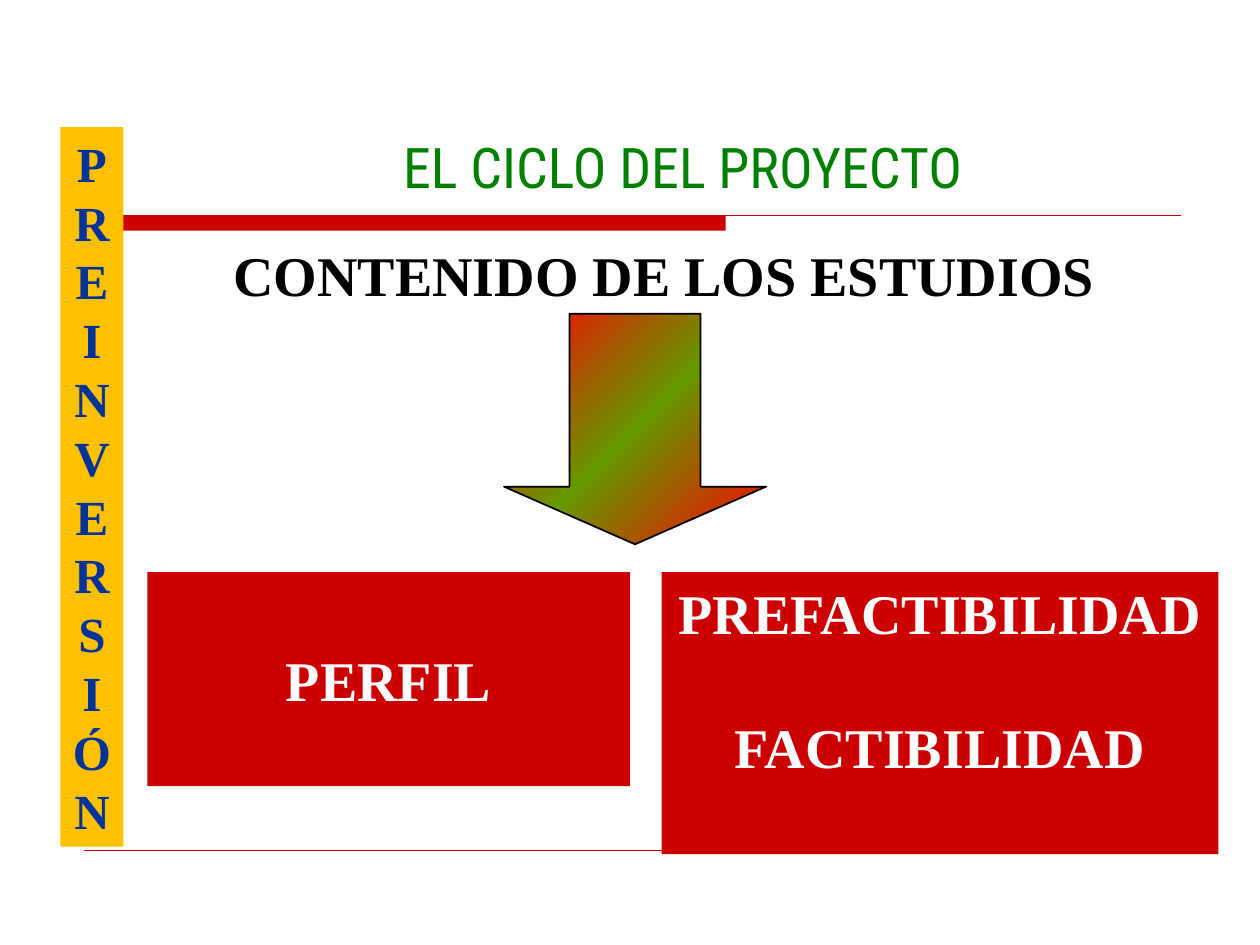
from pptx import Presentation, util as u
from pptx.dml.color import RGBColor
from pptx.enum import shapes as es, text as et
from pptx.oxml.ns import qn

deck = Presentation()
deck.slide_width, deck.slide_height = u.Inches(10), u.Inches(7.5)
page = deck.slides.add_slide(deck.slide_layouts[6]).shapes

RED, SERIF = "CC0000", "Times New Roman"
TOP, MID = et.MSO_ANCHOR.TOP, et.MSO_ANCHOR.MIDDLE


def tint(part, code):
    """Give a fill a solid colour, or a font or line its colour."""
    if hasattr(part, "solid"):
        part.solid()
        part = part.fore_color
    else:
        part = part.color
    part.rgb = RGBColor.from_string(code)


def block(kind, box, fill=None):
    item = page.add_shape(kind, *[u.Inches(n) for n in box])
    item.shadow.inherit = False
    if fill:
        tint(item.fill, fill)
        item.line.fill.background()
    return item


# Rules under the title and at the foot
block(es.MSO_SHAPE.RECTANGLE, (0.67, 1.71, 5.09, 0.12), RED)
for left, right, y, wide in [(0.67, 9.37, 1.71, 0.75), (0.67, 9.33, 6.75, 0.25)]:
    rule = page.add_connector(es.MSO_CONNECTOR.STRAIGHT,
                              *[u.Inches(n) for n in (left, y, right, y)])
    tint(rule.line, RED)
    rule.line.width = u.Pt(wide)
    rule._element.spPr.append(rule._element.spPr.makeelement(qn("a:effectLst"), {}))

# Text blocks: box, fill, lines, size, face, colour, bold, anchor, wrap, gap in lines
blocks = [
    ((1.17, 4.54, 3.83, 1.7), RED, ["PERFIL"], 32, SERIF, "FFFFFF", True, MID, True, 0),
    ((1.38, 1, 8.08, 0.5), None, ["EL CICLO DEL PROYECTO"], 32,
     "Roboto Condensed", "008000", False, TOP, False, 0),
    ((0.48, 1.01, 0.5, 5.71), "FFC000", list("PREINVERSIÓN"), 28,
     SERIF, "003399", True, TOP, False, 0),
    ((1.75, 1.86, 7.04, 0.64), None, ["CONTENIDO DE LOS ESTUDIOS"], 32,
     SERIF, "000000", True, TOP, False, 0),
    ((5.25, 4.54, 4.42, 2.24), RED, ["PREFACTIBILIDAD", "FACTIBILIDAD"], 32,
     SERIF, "FFFFFF", True, TOP, True, 1),
]
for box, fill, lines, size, face, ink, bold, anchor, wrap, gap in blocks:
    if fill:
        item = block(es.MSO_SHAPE.RECTANGLE, box, fill)
    else:
        item = page.add_textbox(*[u.Inches(n) for n in box])
    frame = item.text_frame
    frame.word_wrap, frame.vertical_anchor = wrap, anchor
    frame.text = "\n".join(lines)
    pitch = size * 1.2
    for n, para in enumerate(frame.paragraphs):
        look = {"alignment": et.PP_ALIGN.CENTER, "line_spacing": u.Pt(pitch),
                "space_before": u.Pt(pitch * gap if n else 0)}
        for key, val in look.items():
            setattr(para, key, val)
        font = para.runs[0].font
        for key, val in {"name": face, "size": u.Pt(size), "bold": bold}.items():
            setattr(font, key, val)
        tint(font, ink)

# Arrow with a red, green, red gradient
arrow = block(es.MSO_SHAPE.DOWN_ARROW, (4, 2.49, 2.08, 1.83))
arrow.adjustments[0], arrow.adjustments[1] = 0.5, 0.25
tint(arrow.line, "000000")
arrow.line.width = u.Pt(1)
arrow.fill.gradient()
stops = arrow.fill._fill._gradFill.find(qn("a:gsLst"))
for stop in list(stops):
    stops.remove(stop)
for spot, code in [(0, "FF0000"), (50, "669900"), (100, "FF0000")]:
    stop = stops.makeelement(qn("a:gs"), {"pos": str(spot * 1000)})
    stop.append(stop.makeelement(qn("a:srgbClr"), {"val": code}))
    stops.append(stop)
arrow.fill.gradient_angle = 315  # counter-clockwise, so 45 degrees clockwise

deck.save("out.pptx")
